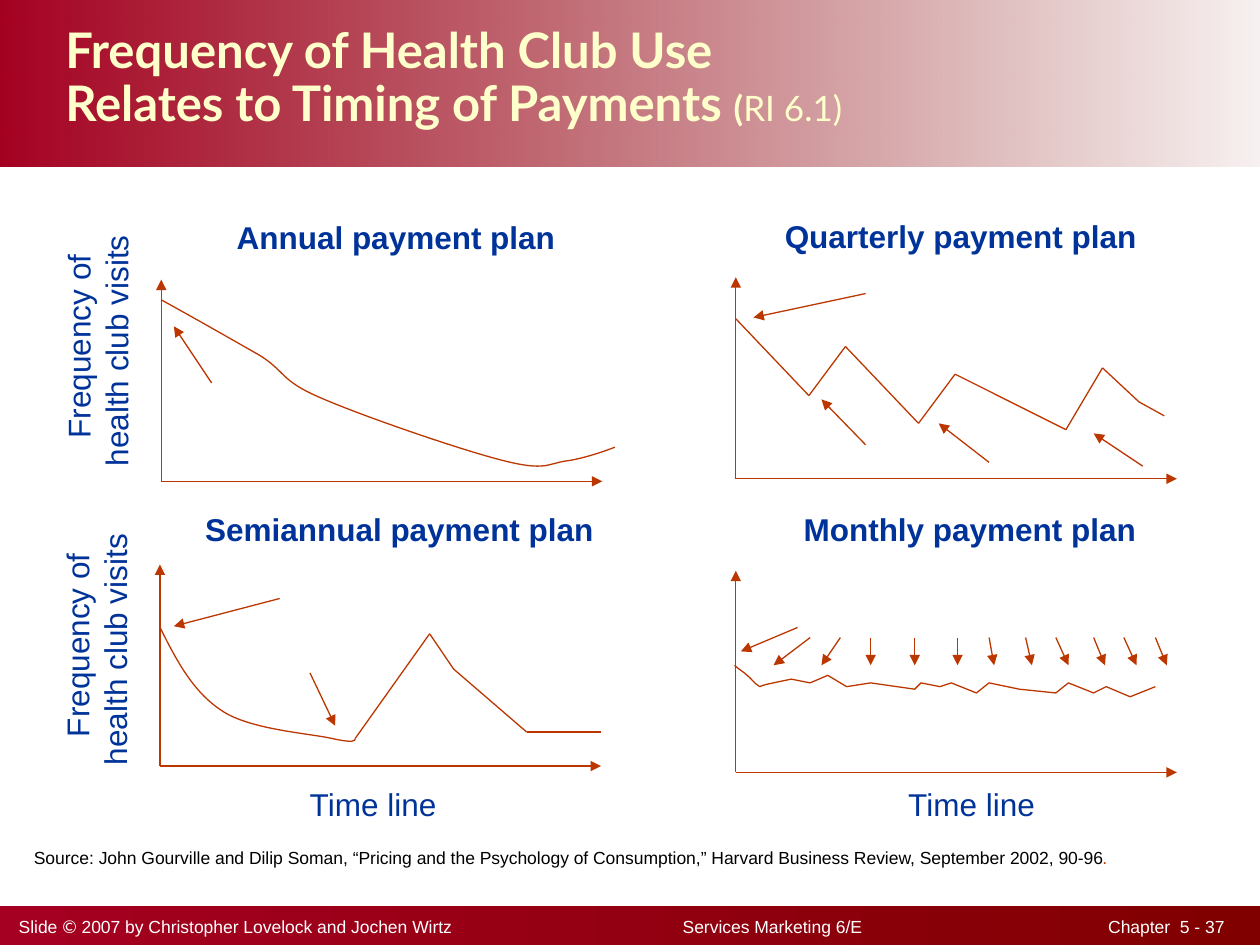
from dataclasses import dataclass

from lxml.etree import SubElement
from pptx import Presentation
from pptx.dml.color import RGBColor as RGB
from pptx.enum.shapes import MSO_CONNECTOR as Conn, MSO_SHAPE as Shape
from pptx.enum.text import MSO_ANCHOR as Anchor, PP_ALIGN as Align
from pptx.oxml.ns import qn
from pptx.util import Cm, Pt

Point = tuple[float, float]
Segment = tuple[Point, Point]


@dataclass(frozen=True)
class Theme:
    crimson: str = "A50021"
    maroon: str = "800000"
    cream: str = "FFFFCC"
    white: str = "FFFFFF"
    navy: str = "003399"
    rust: str = "BC3700"
    black: str = "000000"
    body_font: str = "Arial"
    title_font: str = "Lato"
    title_pt: int = 28
    reference_pt: int = 20
    label_pt: int = 18
    small_pt: int = 10
    line_pt: float = 0.75


@dataclass(frozen=True)
class Panel:
    heading: str
    heading_at: Point
    heading_width: float
    origin: Point
    arrows: list[Segment]
    curve: tuple[Point, ...] = ()    # start, then two controls and an end per piece
    outline: tuple[Point, ...] = ()  # straight continuation of the curve
    strokes: tuple[Point, ...] = ()  # separate lines joined end to end
    time_axis_pt: float = 0.75


T = Theme()
GRID = 2.54  # centimetres in one layout unit; the slide is 10 by 7.5 units
AXIS_WIDTH, AXIS_HEIGHT = 3.5, 1.6

PANELS = [
    Panel("Annual payment plan", (1.78, 1.68), 2.79, (1.28, 3.82),
          arrows=[((1.68, 3.04), (1.38, 2.59))],
          curve=((1.28, 2.38), (1.57, 2.54), (1.85, 2.7), (2.06, 2.82),
                 (2.27, 2.95), (2.22, 3.02), (2.55, 3.16),
                 (2.87, 3.3), (3.68, 3.58), (4.01, 3.66),
                 (4.33, 3.74), (4.35, 3.68), (4.49, 3.66),
                 (4.64, 3.64), (4.83, 3.57), (4.88, 3.55))),
    Panel("Semiannual payment plan", (1.53, 4), 3.34, (1.27, 6.08),
          arrows=[((2.46, 5.34), (2.66, 5.76)), ((2.22, 4.75), (1.38, 4.97))],
          curve=((1.27, 4.98), (1.4, 5.24), (1.53, 5.49), (1.76, 5.64),
                 (1.98, 5.79), (2.45, 5.82), (2.63, 5.86),
                 (2.81, 5.9), (2.82, 5.88), (2.82, 5.86)),
          strokes=((2.82, 5.86), (3.41, 5.03), (3.6, 5.31), (4.18, 5.81),
                   (4.77, 5.81))),
    Panel("Quarterly payment plan", (6.13, 1.67), 3.05, (5.84, 3.8),
          arrows=[((6.87, 2.33), (5.98, 2.52)), ((7.85, 3.67), (7.45, 3.36)),
                  ((6.87, 3.53), (6.52, 3.17)), ((9.07, 3.7), (8.68, 3.44))],
          strokes=((5.84, 2.53), (6.42, 3.14), (6.71, 2.75), (7.29, 3.36),
                   (7.58, 2.97), (8.46, 3.41), (8.75, 2.92), (9.04, 3.19),
                   (9.24, 3.3))),
    Panel("Monthly payment plan", (6.28, 4), 2.91, (5.84, 6.13),
          arrows=[((6.33, 4.98), (5.88, 5.17))] + [
              ((x1, 5.06), (x2, 5.28)) for x1, x2 in (
                  (6.43, 6.14), (6.67, 6.52), (6.91, 6.91), (7.26, 7.26),
                  (7.6, 7.6), (7.85, 7.89), (8.14, 8.19), (8.38, 8.48),
                  (8.68, 8.77), (8.92, 9.02), (9.17, 9.26))],
          curve=((5.83, 5.28), (5.86, 5.31), (5.9, 5.33), (5.93, 5.36),
                 (5.97, 5.39), (5.98, 5.42), (6.03, 5.45),
                 (6.05, 5.44), (6.09, 5.43), (6.09, 5.43)),
          outline=((6.28, 5.39), (6.43, 5.42), (6.57, 5.36), (6.72, 5.45),
                   (6.91, 5.42), (7.26, 5.47), (7.31, 5.42), (7.46, 5.45),
                   (7.55, 5.42), (7.75, 5.5), (7.85, 5.42), (8.09, 5.47),
                   (8.38, 5.5), (8.48, 5.42), (8.68, 5.5), (8.78, 5.45),
                   (8.97, 5.53), (9.17, 5.45)),
          time_axis_pt=1),
]


def units(*values: float) -> list[Cm]:
    return [Cm(v * GRID) for v in values]


def add_text(slide, text: str, x: float, y: float, w: float, h: float, *,
             size=T.label_pt, color=T.navy, font=T.body_font, bold=False,
             align=Align.LEFT, anchor=Anchor.TOP, rotation=0, spacing=None):
    """Add a text box; a newline in the text becomes a line break."""
    s = slide.shapes.add_textbox(*units(x, y, w, h))
    s.rotation = rotation
    tf = s.text_frame
    tf.word_wrap, tf.vertical_anchor = True, anchor
    p = tf.paragraphs[0]
    p.alignment, p.line_spacing = align, spacing
    for i, line in enumerate(text.split("\n")):
        if i:
            p.add_line_break()
        add_run(p, line, size=size, color=color, font=font, bold=bold)
    return p


def add_run(p, text: str, *, size: float, color: str, font: str, bold=False) -> None:
    r = p.add_run()
    r.text = text
    r.font.size, r.font.name, r.font.bold = Pt(size), font, bold
    r.font.color.rgb = RGB.from_string(color)


def add_band(slide, y: float, h: float, end_alpha: int = 100) -> None:
    s = slide.shapes.add_shape(Shape.RECTANGLE, *units(0, y, 10, h))
    s.shadow.inherit = False
    s.line.fill.background()
    s.fill.gradient()
    s.fill.gradient_angle = 0
    for stop, color in zip(s.fill.gradient_stops, (T.crimson, T.maroon)):
        stop.color.rgb = RGB.from_string(color)
    if end_alpha < 100:
        end_color = list(s.element.spPr.iter(qn("a:srgbClr")))[-1]
        SubElement(end_color, qn("a:alpha"), val=str(end_alpha * 1000))


def add_line(slide, start: Point, end: Point, *, arrow=False, width=T.line_pt) -> None:
    s = slide.shapes.add_connector(Conn.STRAIGHT, *units(*start, *end))
    s.line.color.rgb = RGB.from_string(T.rust)
    s.line.width = Pt(width)
    if arrow:
        SubElement(s.line._get_or_add_ln(), qn("a:tailEnd"), type="triangle")
    SubElement(s.element.spPr, qn("a:effectLst"))


def add_curve(slide, curve: tuple[Point, ...], outline: tuple[Point, ...]) -> None:
    start, *rest = [units(*point) for point in curve + outline]
    builder = slide.shapes.build_freeform(*start)
    builder.add_line_segments(rest, close=False)
    s = builder.convert_to_shape()
    s.shadow.inherit = False
    s.fill.background()
    s.line.color.rgb = RGB.from_string(T.rust)
    s.line.width = Pt(T.line_pt)

    # Join each three points of the curved part into one cubic piece
    steps = list(s.element.spPr.iter(qn("a:lnTo")))[:len(curve) - 1]
    for i in range(0, len(steps), 3):
        cubic = steps[i].makeelement(qn("a:cubicBezTo"))
        steps[i].addprevious(cubic)
        for step in steps[i:i + 3]:
            cubic.append(step[0])
            step.getparent().remove(step)


def add_panel(slide, panel: Panel) -> None:
    x, y = panel.origin
    add_line(slide, (x, y), (x, y - AXIS_HEIGHT), arrow=True)
    add_line(slide, (x, y), (x + AXIS_WIDTH, y), arrow=True, width=panel.time_axis_pt)
    if panel.curve:
        add_curve(slide, panel.curve, panel.outline)
    for start, end in zip(panel.strokes, panel.strokes[1:]):
        add_line(slide, start, end)
    for start, end in panel.arrows:
        add_line(slide, start, end, arrow=True)
    add_text(slide, panel.heading, *panel.heading_at, panel.heading_width, 0.4, bold=True)


def main() -> None:
    prs = Presentation()
    prs.slide_width, prs.slide_height = units(10, 7.5)
    slide = prs.slides.add_slide(prs.slide_layouts[6])

    # Header and footer bands
    add_band(slide, 0, 1.32, end_alpha=6)
    add_band(slide, 7.19, 0.31)
    p = add_text(slide, "Slide ", 0.05, 7.22, 9.83, 0.27, size=T.small_pt, color=T.white)
    for text, font in (("©", T.title_font),
                       (" 2007 by Christopher Lovelock and Jochen Wirtz"
                        "\tServices Marketing 6/E\tChapter  5 - 37", T.body_font)):
        add_run(p, text, size=T.small_pt, color=T.white, font=font)
    tabs = SubElement(p._p.get_or_add_pPr(), qn("a:tabLst"))
    for position, kind in ((5.27, "l"), (9.57, "r")):
        SubElement(tabs, qn("a:tab"), pos=str(units(position)[0]), algn=kind)

    # Title
    p = add_text(slide, "Frequency of Health Club Use\nRelates to Timing of Payments ",
                 0.42, -0.08, 9.17, 1.42, size=T.title_pt, color=T.cream,
                 font=T.title_font, bold=True, anchor=Anchor.MIDDLE, spacing=0.9)
    for text, bold in (("(", True), ("RI 6.1)", False)):
        add_run(p, text, size=T.reference_pt, color=T.cream, font=T.title_font, bold=bold)

    # Charts and their axis labels
    for panel in PANELS:
        add_panel(slide, panel)
    for x, y, w in ((-0.4, 2.4, 2.34), (-0.37, 4.77, 2.26)):
        add_text(slide, "Frequency of health club visits ", x, y, w, 0.7,
                 align=Align.CENTER, rotation=270)
    for x in (2.36, 7.11):
        add_text(slide, "Time line", x, 6.18, 1.75, 0.4)

    # Source
    p = add_text(slide, "Source: John Gourville and Dilip Soman, “Pricing and the "
                 "Psychology of Consumption,” Harvard Business Review, September 2002, 90-96",
                 0.17, 6.67, 9.58, 0.26, size=T.small_pt, color=T.black)
    add_run(p, ".", size=T.small_pt, color=T.rust, font=T.body_font)

    prs.save("out.pptx")


if __name__ == "__main__":
    main()
